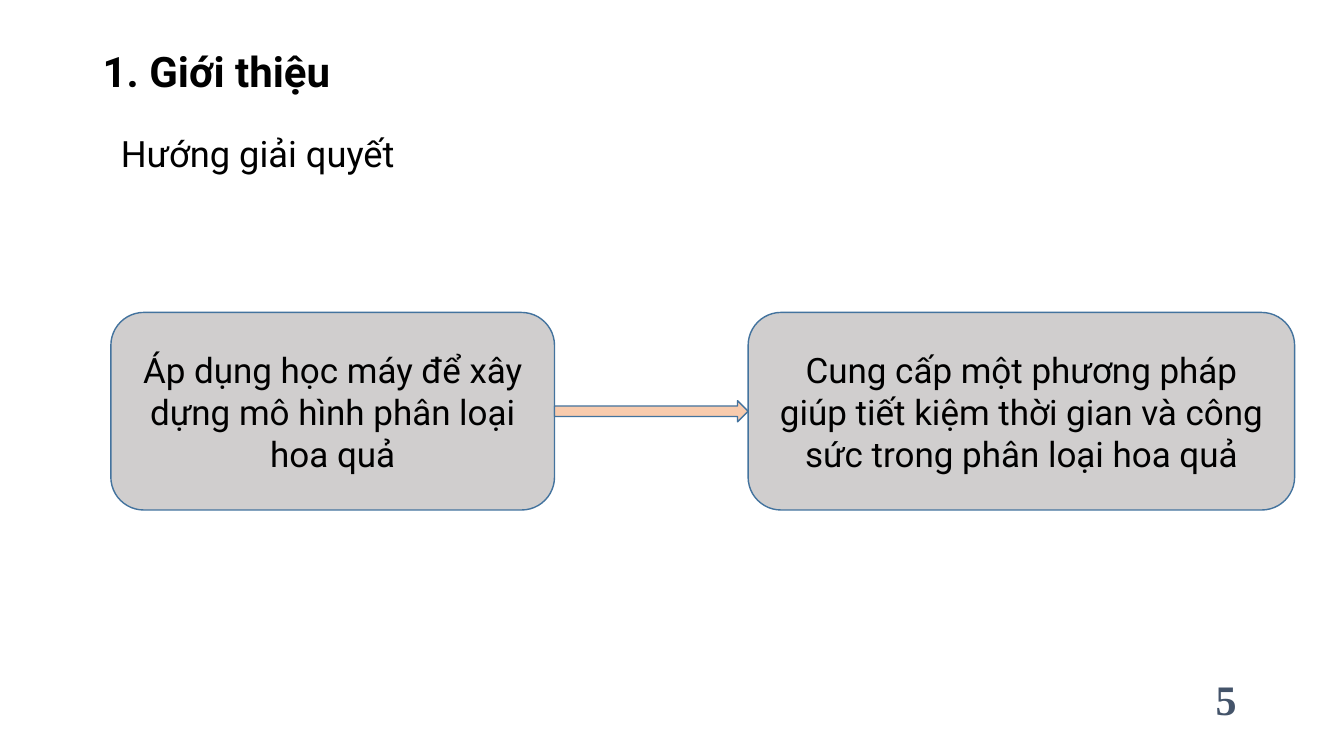
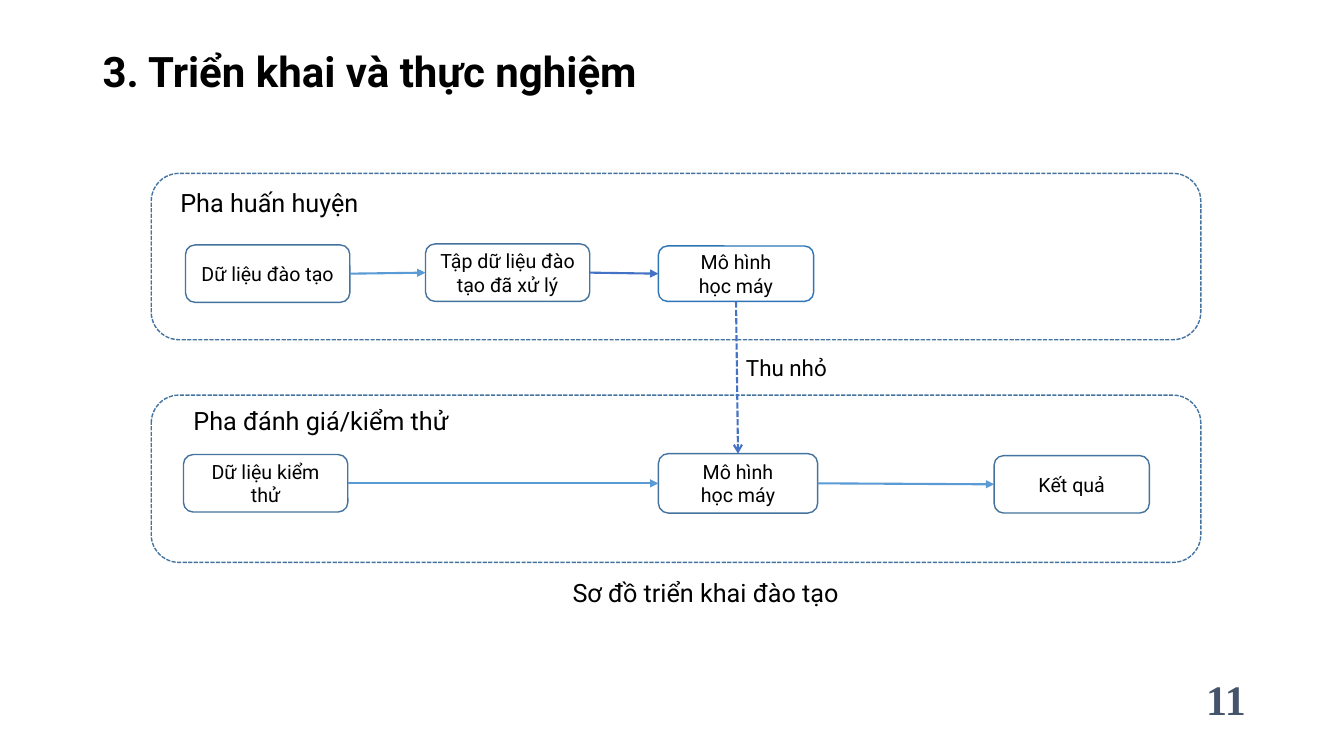
from pptx import Presentation
from pptx import util as u
from pptx.dml.color import RGBColor
from pptx.enum import dml, shapes, text
from pptx.oxml.ns import qn
from lxml import etree

COLORS = {
    "black": "000000", "white": "FFFFFF", "slate": "44546A", "gray": "D0CECE",
    "edge": "43739E", "peach": "F8CBAD", "sky": "5B9BD5", "blue": "4472C4",
    "model": "2E75B6",
}
TITLE = {"size": u.Pt(30), "bold": True}
NUMBER = {"size": u.Pt(30), "bold": True, "name": "Times New Roman"}
ANCHOR = text.MSO_ANCHOR
CENTER = text.PP_ALIGN.CENTER
DASH = dml.MSO_LINE.SQUARE_DOT
KIND = shapes.MSO_SHAPE


def rgb(name):
    return RGBColor.from_string(COLORS[name])


def set_all(obj, values):
    for key, value in values.items():
        setattr(obj, key, value)


def write(sp, words, font, color="black", frame=None, para=None):
    tf = sp.text_frame
    set_all(tf, {"word_wrap": True, **(frame or {})})
    for i, line in enumerate(words.split("\n")):
        p = tf.add_paragraph() if i else tf.paragraphs[0]
        set_all(p, para or {})
        r = p.add_run()
        r.text = line
        set_all(r.font, {"name": "Roboto", **font})
        r.font.color.rgb = rgb(color)


def add_label(slide, box, words, font, **style):
    sp = slide.shapes.add_textbox(*map(u.Inches, box))
    write(sp, words, font, **style)
    return sp


def add_box(slide, box, fill="white", line="edge", kind=KIND.ROUNDED_RECTANGLE,
            dash=None, words=None, size=14, inset=0.1):
    sp = slide.shapes.add_shape(kind, *map(u.Inches, box))
    sp.shadow.inherit = False
    sp.fill.solid()
    sp.fill.fore_color.rgb = rgb(fill)
    set_all(sp.line, {"width": u.Pt(1), "dash_style": dash})
    sp.line.color.rgb = rgb(line)
    if words:
        frame = {"vertical_anchor": ANCHOR.MIDDLE,
                 "margin_left": u.Inches(inset), "margin_right": u.Inches(inset)}
        write(sp, words, {"size": u.Pt(size)}, frame=frame,
              para={"alignment": CENTER})
    return sp


def link(slide, start, end, color="sky", sides=(3, 1), dash=None, head="triangle"):
    cx = slide.shapes.add_connector(shapes.MSO_CONNECTOR.STRAIGHT, 0, 0, 0, 0)
    cx.begin_connect(start, sides[0])
    cx.end_connect(end, sides[1])
    set_all(cx.line, {"width": u.Pt(1.5), "dash_style": dash})
    cx.line.color.rgb = rgb(color)
    props = cx._element.spPr
    etree.SubElement(props.find(qn("a:ln")), qn("a:tailEnd"), type=head)
    etree.SubElement(props, qn("a:effectLst"))


def add_page(prs, title, number):
    slide = prs.slides.add_slide(prs.slide_layouts[6])
    middle = {"vertical_anchor": ANCHOR.MIDDLE}
    add_label(slide, (0.92, 0.01, 11.5, 1.45), title, TITLE,
              frame=middle, para={"line_spacing": 0.9})
    add_label(slide, (11.72, 6.52, 0.88, 0.83), number, NUMBER, color="slate",
              frame=middle, para={"alignment": CENTER})
    return slide


def add_solution(slide, x, y, height):
    widths, gap, arrow_h = (4.4, 5.42), 1.92, 0.21
    steps = ("Áp dụng học máy để xây dựng mô hình phân loại hoa quả",
             "Cung cấp một phương pháp giúp tiết kiệm thời gian và công sức "
             "trong phân loại hoa quả")
    left = x
    for width, words in zip(widths, steps):
        add_box(slide, (left, y, width, height), "gray", words=words, size=25,
                inset=0.15)
        left += width + gap
    add_box(slide, (x + widths[0], y + (height - arrow_h) / 2, gap, arrow_h),
            "peach", kind=KIND.RIGHT_ARROW)


def add_phase(slide, box, heading, heading_at, nodes, link_colors):
    x, y = box[:2]
    add_box(slide, box, dash=DASH)
    dx, dy, width = heading_at
    add_label(slide, (x + dx, y + dy, width, 0.4), heading, {"size": u.Pt(18)})
    made = [add_box(slide, (x + left, y + top, w, h), line=line, words=words)
            for left, top, w, h, line, words in nodes]
    for start, end, color in zip(made, made[1:], link_colors):
        link(slide, start, end, color)
    return made


def build_intro(prs):
    slide = add_page(prs, "1. Giới thiệu", "5")
    add_label(slide, (1.1, 1.3, 3.07, 0.53), "Hướng giải quyết",
              {"size": u.Pt(25.9)}, para={"line_spacing": 0.9})
    add_solution(slide, 1.1, 3.1, 1.96)


def build_deployment(prs):
    slide = add_page(prs, "3. Triển khai và thực nghiệm", "11")
    x, width = 1.5, 10.41
    train = add_phase(
        slide, (x, 1.72, width, 1.65), "Pha huấn huyện", (0.19, 0.09, 2.32),
        [(0.34, 0.71, 1.63, 0.57, "edge", "Dữ liệu đào tạo"),
         (2.72, 0.7, 1.63, 0.57, "edge", "Tập dữ liệu đào tạo đã xử lý"),
         (5.03, 0.72, 1.54, 0.55, "model", "Mô hình\nhọc máy")],
        ("sky", "blue"))
    test = add_phase(
        slide, (x, 3.92, width, 1.66), "Pha đánh giá/kiểm thử", (0.32, 0.05, 2.93),
        [(0.32, 0.59, 1.63, 0.57, "edge", "Dữ liệu kiểm thử"),
         (5.03, 0.58, 1.58, 0.59, "edge", "Mô hình\nhọc máy"),
         (8.36, 0.6, 1.54, 0.57, "edge", "Kết quả")],
        ("sky", "sky"))
    link(slide, train[2], test[1], "blue", (2, 0), DASH, "arrow")
    for box, words, size in (((7.3, 3.46, 1.02, 0.37), "Thu nhỏ", 16),
                             ((5.58, 5.68, 2.89, 0.4), "Sơ đồ triển khai đào tạo", 18)):
        add_label(slide, box, words, {"size": u.Pt(size)}, frame={"word_wrap": False})


def main():
    prs = Presentation()
    set_all(prs, {"slide_width": u.Inches(13.33), "slide_height": u.Inches(7.5)})
    build_intro(prs)
    build_deployment(prs)
    prs.save("out.pptx")


if __name__ == "__main__":
    main()
